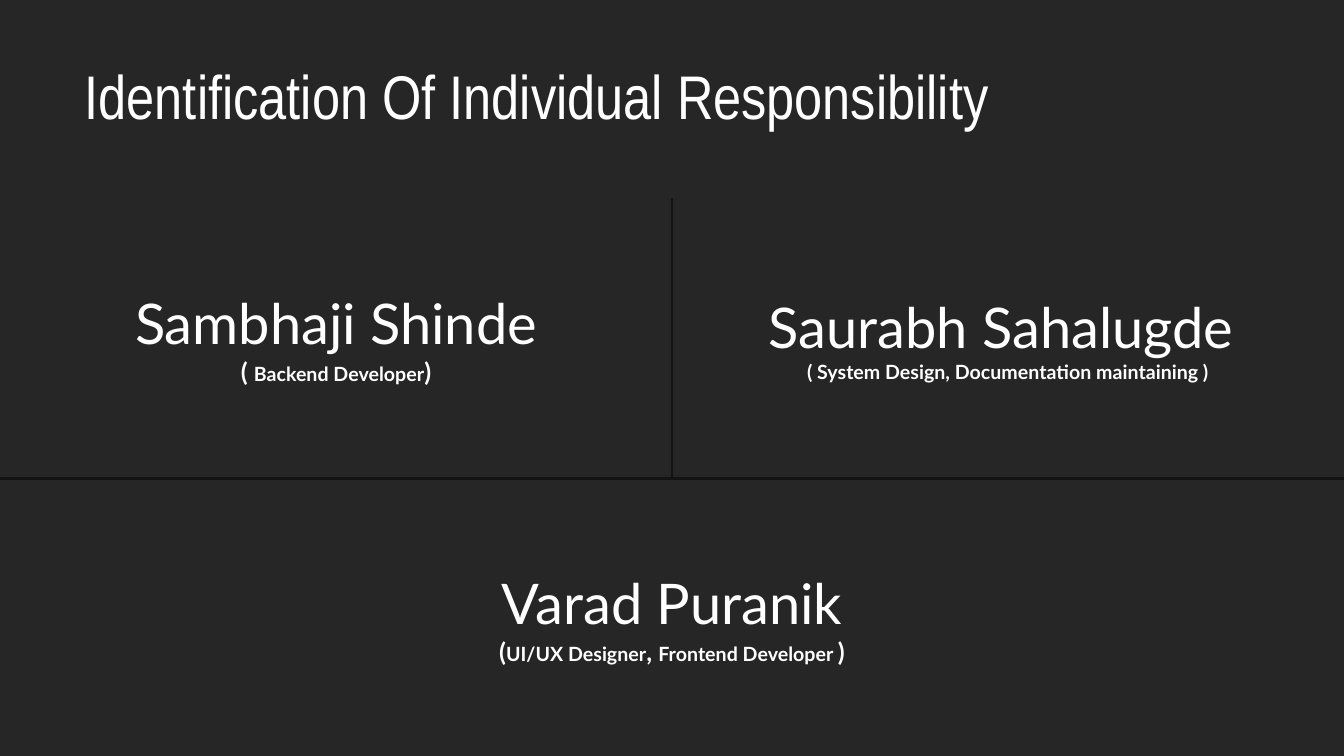
from dataclasses import dataclass

from lxml.etree import SubElement
from pptx import Presentation
from pptx.dml.color import RGBColor
from pptx.enum.text import MSO_ANCHOR, PP_ALIGN
from pptx.oxml.ns import qn
from pptx.table import _Cell
from pptx.util import Cm, Pt

BACKGROUND = RGBColor(0x26, 0x26, 0x26)
RULE = RGBColor(0x13, 0x13, 0x16)
WHITE = RGBColor(0xFF, 0xFF, 0xFF)
NO_STYLE = "{2D5ABB26-0587-4C30-8999-92F81FD0307C}"
SLIDE_WIDTH = Cm(33.87)
ROW_HEIGHT = Cm(7.05)


@dataclass(frozen=True)
class Member:
    row: int
    column: int
    name: str
    role: tuple[tuple[str, int], ...]


MEMBERS = (
    Member(0, 0, "Sambhaji Shinde",
           (("( ", 18), ("Backend Developer", 14), (")", 18))),
    Member(0, 1, "Saurabh Sahalugde ",
           (("( System Design, Documentation maintaining )", 14),)),
    Member(1, 0, "Varad Puranik",
           (("(", 18), ("UI/UX Designer", 14), (", ", 18),
            ("Frontend Developer ", 14), (")", 18))),
)
BORDERS = {
    (0, 0): ("lnR", "lnB"),
    (0, 1): ("lnL", "lnB"),
    (1, 0): ("lnT",),
    (1, 1): ("lnT",),
}


def add_borders(cell: _Cell, sides: tuple[str, ...]) -> None:
    tc_pr = cell._tc.get_or_add_tcPr()
    for side in sides:
        line = SubElement(tc_pr, qn(f"a:{side}"), w=str(Pt(2.25)))
        fill = SubElement(line, qn("a:solidFill"))
        SubElement(fill, qn("a:srgbClr"), val=str(RULE))


def write_member(cell: _Cell, member: Member) -> None:
    cell.vertical_anchor = MSO_ANCHOR.MIDDLE
    tf = cell.text_frame
    lines = (((member.name, 40),), member.role)
    for p, runs, bold in zip((tf.paragraphs[0], tf.add_paragraph()), lines, (False, True)):
        p.alignment = PP_ALIGN.CENTER
        p.font.name = "Lato"
        p.font.bold = bold
        p.font.color.rgb = WHITE
        for text, size in runs:
            r = p.add_run()
            r.text = text
            r.font.size = Pt(size)
            r.font.name = "Lato"
            r.font.bold = bold
            r.font.color.rgb = WHITE


def main() -> None:
    prs = Presentation()
    prs.slide_width, prs.slide_height = SLIDE_WIDTH, Cm(19.05)
    s = prs.slides.add_slide(prs.slide_layouts[5])
    s.background.fill.solid()
    s.background.fill.fore_color.rgb = BACKGROUND

    title = s.shapes.title
    title.left, title.top, title.width, title.height = Cm(1.88), Cm(1.12), Cm(29.67), Cm(2.79)
    tf = title.text_frame
    tf.text = "Identification Of Individual Responsibility"
    tf.vertical_anchor = MSO_ANCHOR.MIDDLE
    p = tf.paragraphs[0]
    p.alignment = PP_ALIGN.LEFT
    p.line_spacing = 0.9
    p.font.name = "Arial Narrow"
    p.font.size = Pt(44)
    p.font.color.rgb = WHITE

    table = s.shapes.add_table(2, 2, 0, Cm(5), SLIDE_WIDTH, 2 * ROW_HEIGHT).table
    table.first_row = table.horz_banding = False
    table._tbl.tblPr.find(qn("a:tableStyleId")).text = NO_STYLE
    for (row, column), sides in BORDERS.items():
        cell = table.cell(row, column)
        add_borders(cell, sides)
        cell.fill.background()
    table.cell(1, 0).merge(table.cell(1, 1))
    for member in MEMBERS:
        write_member(table.cell(member.row, member.column), member)

    prs.save("out.pptx")


if __name__ == "__main__":
    main()
